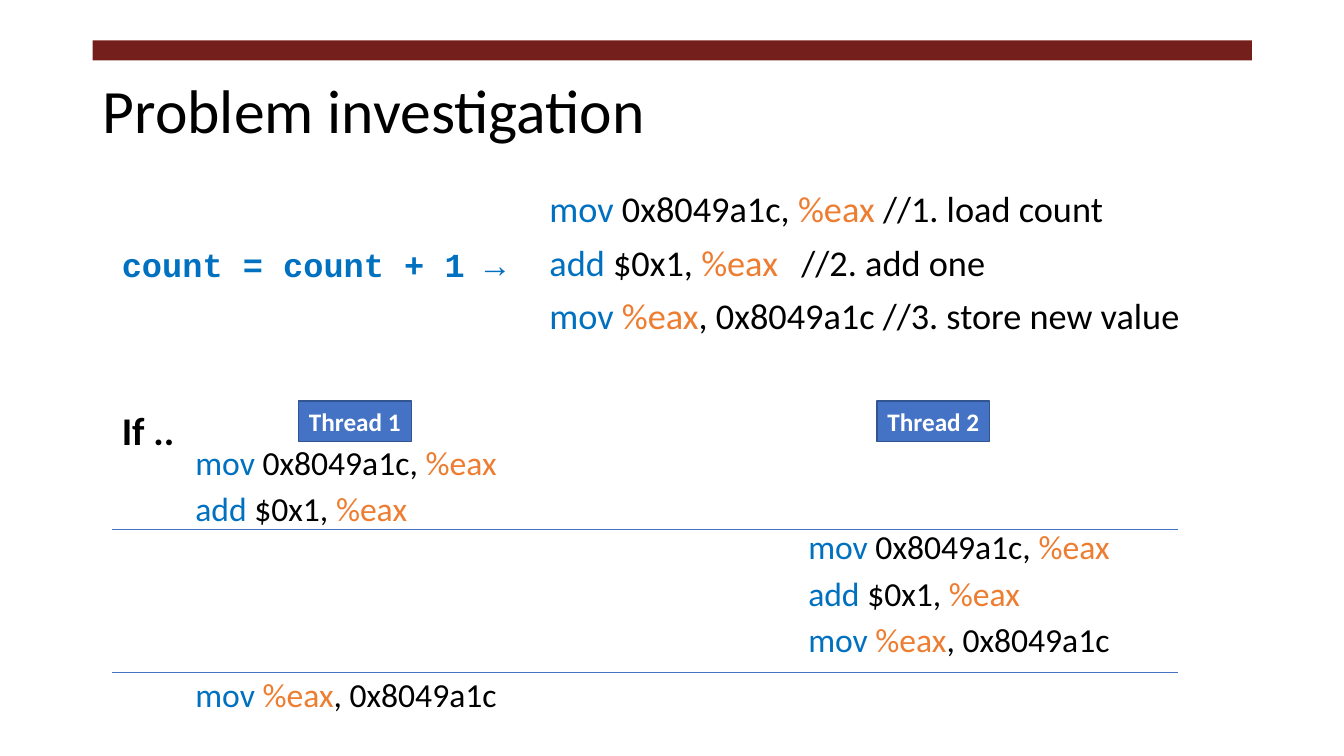
from lxml import etree
from pptx import Presentation
from pptx.dml.color import RGBColor
from pptx.enum.shapes import MSO_CONNECTOR, MSO_SHAPE
from pptx.enum.text import MSO_ANCHOR, MSO_AUTO_SIZE, PP_ALIGN
from pptx.oxml.ns import qn
from pptx.util import Inches, Pt

RECT = MSO_SHAPE.RECTANGLE
LINE = MSO_CONNECTOR.STRAIGHT
LEFT, MID = PP_ALIGN.LEFT, PP_ALIGN.CENTER
TOP, CENTER = MSO_ANCHOR.TOP, MSO_ANCHOR.MIDDLE
FIXED = MSO_AUTO_SIZE.NONE

COLS, ROWS = 40, 30
INK, WHITE, BLUE, ORANGE = "000000", "FFFFFF", "0070C0", "ED7D31"
MAROON, BADGE, EDGE = "751F1C", "4472C4", "325491"

LOAD = [("mov", BLUE), (" 0x8049a1c, ", INK), ("%eax", ORANGE)]
ADD = [("add", BLUE), (" $0x1, ", INK), ("%eax", ORANGE)]
STORE = [("mov ", BLUE), ("%eax", ORANGE), (", 0x8049a1c", INK)]


def color(text):
    return RGBColor.from_string(text)


class Deck:
    def __init__(self):
        self.show = Presentation()
        self.show.slide_width = Inches(13.33)
        self.show.slide_height = Inches(7.5)
        self.col = self.show.slide_width / COLS
        self.row = self.show.slide_height / ROWS
        self.font = "Calibri"
        self.slide = self.show.slides.add_slide(self.show.slide_layouts[1])

    def grid(self, x, y, w, h):
        return (int(x * self.col), int(y * self.row),
                int(w * self.col), int(h * self.row))

    def fill(self, frame, lines, size, space=1, before=0, bold=False,
             align=LEFT, anchor=TOP, font=None):
        frame.word_wrap = True
        frame.auto_size = FIXED
        frame.vertical_anchor = anchor
        for i, line in enumerate(lines):
            para = frame.add_paragraph() if i else frame.paragraphs[0]
            para.alignment = align
            para.line_spacing = space
            para.space_before = Pt(before if i else 0)
            for text, tint in line:
                run = para.add_run()
                run.text = text
                run.font.name = font or self.font
                run.font.size = Pt(size)
                run.font.bold = bold
                run.font.color.rgb = color(tint)

    def place(self, shape, area):
        shape.left, shape.top, shape.width, shape.height = self.grid(*area)

    def title(self, area, text):
        shape = self.slide.shapes.title
        self.place(shape, area)
        self.fill(shape.text_frame, [[(text, INK)]], 44, 0.9, anchor=CENTER)

    def body(self, area, lines, stop):
        shape = self.slide.placeholders[1]
        self.place(shape, area)
        frame = shape.text_frame
        self.fill(frame, lines, 25.9, 0.9, 10)
        for para in frame.paragraphs:
            props = para._p.get_or_add_pPr()
            props.set("marL", "0")
            props.set("indent", "0")
            etree.SubElement(props, qn("a:buNone"))
            tabs = etree.SubElement(props, qn("a:tabLst"))
            etree.SubElement(tabs, qn("a:tab"),
                             pos=str(int(stop * self.col)), algn="l")

    def text(self, area, lines, size, **style):
        box = self.slide.shapes.add_textbox(*self.grid(*area))
        self.fill(box.text_frame, lines, size, **style)

    def code(self, x, y, lines):
        self.text((x, y, 13.5, 2 * len(lines)), lines, 24,
                  space=0.8, before=10)

    def rect(self, area, tint, edge=None):
        shape = self.slide.shapes.add_shape(RECT, *self.grid(*area))
        shape.shadow.inherit = False
        shape.fill.solid()
        shape.fill.fore_color.rgb = color(tint)
        if edge:
            shape.line.color.rgb = color(edge)
            shape.line.width = Pt(1)
        else:
            shape.line.fill.background()
        return shape

    def badge(self, x, text):
        shape = self.rect((x, 15.92, 3.36, 1.6), BADGE, EDGE)
        frame = shape.text_frame
        frame.margin_left = frame.margin_right = 0
        self.fill(frame, [[(text, WHITE)]], 18, bold=True,
                  align=MID, anchor=CENTER)

    def rule(self, y):
        left, top, width, _ = self.grid(3.33, y, 31.74, 0)
        line = self.slide.shapes.add_connector(
            LINE, left, top, left + width, top)
        line.line.color.rgb = color(BADGE)
        line.line.width = Pt(0.5)
        etree.SubElement(line._element.spPr, qn("a:effectLst"))


def main():
    deck = Deck()
    deck.rect((2.76, 1.6, 34.5, 0.8), MAROON)
    deck.title((2.76, 1.6, 34.5, 5.8), "Problem investigation")
    deck.body((16.05, 7.4, 19.65, 7), [
        LOAD + [(" //1. load count", INK)],
        ADD + [("\t//2. add one", INK)],
        STORE + [(" //3. store new value", INK)],
    ], 9.75)
    deck.text((3.33, 9.48, 12.72, 2), [[("count = count + 1 →", BLUE)]], 24,
              bold=True, font="Courier New")
    deck.text((3.33, 15.92, 2.5, 2.28), [[("If ..", INK)]], 28, bold=True)
    deck.code(5.52, 17.64, [LOAD, ADD])
    deck.code(23.76, 21, [LOAD, ADD, STORE])
    deck.code(5.52, 26.84, [STORE])
    for i in range(2):
        deck.badge(8.88 + 17.22 * i, f"Thread {i + 1}")
    for y in (21, 26.68):
        deck.rule(y)
    deck.show.save("out.pptx")


if __name__ == "__main__":
    main()
